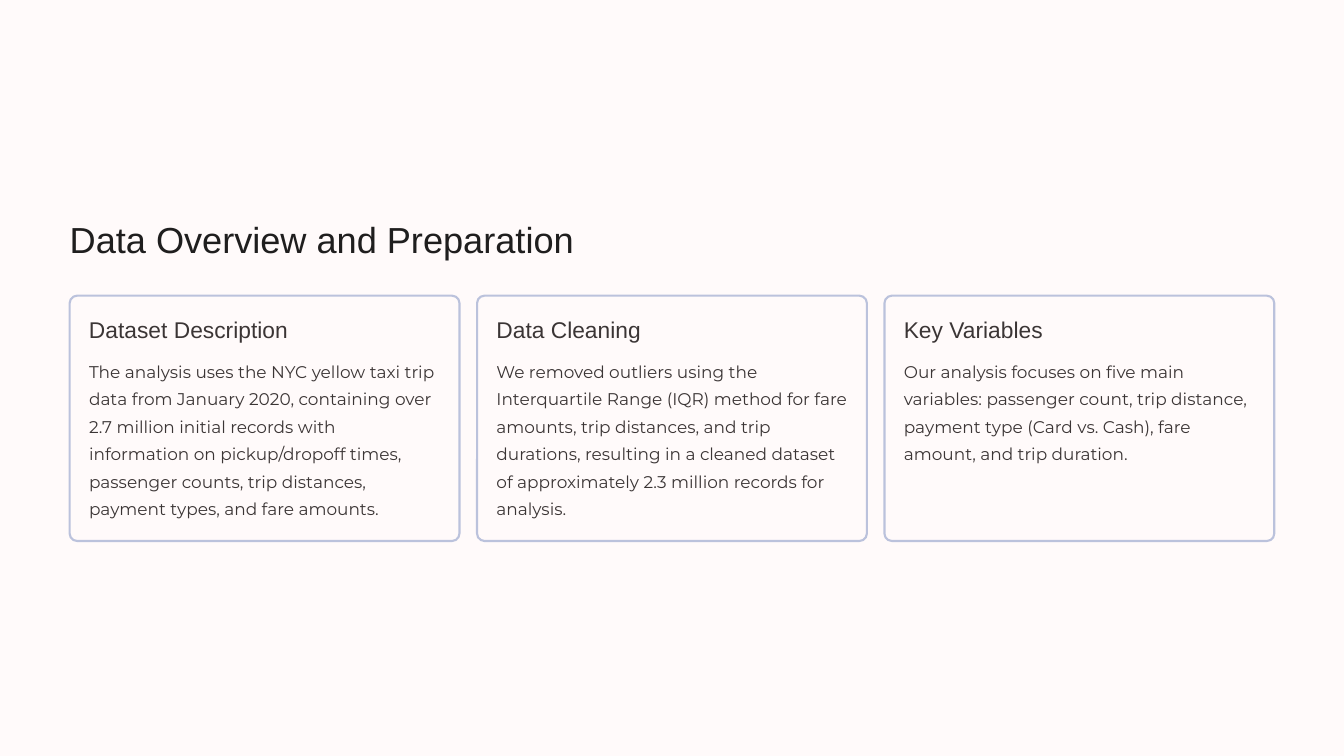
from pptx import Presentation
from pptx import util as u
from pptx.dml import color
from pptx.enum import shapes, text

hues = {"back": "FFFAFA", "edge": "BBC2DC", "title": "1F1E1E", "body": "3B3535"}
cards = [
    ("Dataset Description",
     "The analysis uses the NYC yellow taxi trip data from January 2020, containing over "
     "2.7 million initial records with information on pickup/dropoff times, passenger counts, "
     "trip distances, payment types, and fare amounts."),
    ("Data Cleaning",
     "We removed outliers using the Interquartile Range (IQR) method for fare amounts, trip "
     "distances, and trip durations, resulting in a cleaned dataset of approximately 2.3 million "
     "records for analysis."),
    ("Key Variables",
     "Our analysis focuses on five main variables: passenger count, trip distance, payment type "
     "(Card vs. Cash), fare amount, and trip duration."),
]


def rgb(name):
    return color.RGBColor.from_string(hues[name])


def write(words, left, top, width, height, size, lead, face, hue, wrap=False):
    box = slide.shapes.add_textbox(
        u.Inches(left), u.Inches(top), u.Inches(width), u.Inches(height))
    frame = box.text_frame
    frame.margin_left = frame.margin_right = frame.margin_top = frame.margin_bottom = 0
    frame.word_wrap = wrap
    frame.text = words
    para = frame.paragraphs[0]
    para.alignment = text.PP_ALIGN.LEFT
    para.line_spacing = u.Pt(lead)
    font = para.runs[0].font
    font.size = u.Pt(size)
    font.name = face
    font.color.rgb = rgb(hue)


deck = Presentation()
deck.slide_width = u.Inches(16)
deck.slide_height = u.Inches(9)
slide = deck.slides.add_slide(deck.slide_layouts[6])
slide.background.fill.solid()
slide.background.fill.fore_color.rgb = rgb("back")

margin, pitch, pad = 0.83, 4.85, 0.23
write("Data Overview and Preparation", margin, 2.56, 6.93, 0.55, 31, 39, "Arial", "title")

for index, (head, body) in enumerate(cards):
    left = margin + index * pitch
    card = slide.shapes.add_shape(
        shapes.MSO_SHAPE.ROUNDED_RECTANGLE,
        u.Inches(left), u.Inches(3.52), u.Inches(4.64), u.Inches(2.92))
    card.adjustments[0] = 0.03
    card.shadow.inherit = False
    card.fill.solid()
    card.fill.fore_color.rgb = rgb("back")
    card.line.color.rgb = rgb("edge")
    card.line.width = u.Pt(1.8)
    write(head, left + pad, 3.75, 2.74, 0.34, 19.5, 24.5, "Arial", "body")
    write(body, left + pad, 4.22, 4.18, 1.99, 14.5, 23.5, "Montserrat", "body", True)

deck.save("out.pptx")
